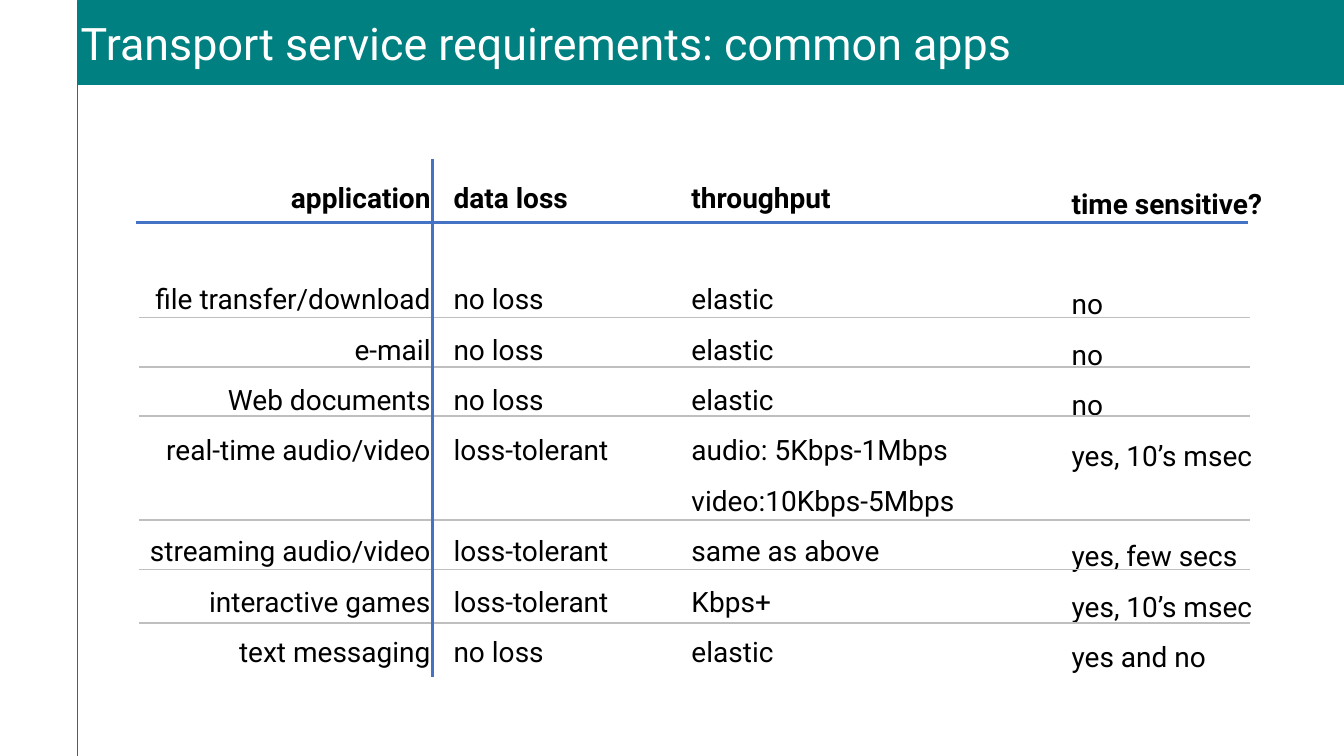
"""Build the slide on transport service requirements of common apps."""
from lxml import etree
from pptx import Presentation
from pptx.dml.color import RGBColor
from pptx.enum.shapes import MSO_CONNECTOR, MSO_SHAPE
from pptx.enum.text import MSO_ANCHOR, PP_ALIGN
from pptx.oxml.ns import qn
from pptx.util import Inches, Pt

LEFT, RIGHT = PP_ALIGN.LEFT, PP_ALIGN.RIGHT
MIDDLE = MSO_ANCHOR.MIDDLE
STRAIGHT = MSO_CONNECTOR.STRAIGHT
RECTANGLE = MSO_SHAPE.RECTANGLE

FONT = "Roboto"
COLORS = {
    "teal": "008080",
    "blue": "4472C4",
    "grey": "BFBFBF",
    "black": "000000",
    "white": "FFFFFF",
}
ROW_PITCH = 36

# A None entry leaves its row free.
COLUMNS = [
    {"left": 0, "top": 0, "width": 3.31, "align": RIGHT,
     "entries": ["application", None, "file transfer/download", "e-mail",
                 "Web documents", "real-time audio/video", None,
                 "streaming audio/video", "interactive games", "text messaging"]},
    {"left": 3.34, "top": 0, "width": 1.93, "align": LEFT,
     "entries": ["data loss", None, "no loss", "no loss", "no loss",
                 "loss-tolerant", None, "loss-tolerant", "loss-tolerant", "no loss"]},
    {"left": 5.7, "top": 0, "width": 3.31, "align": LEFT,
     "entries": ["throughput", None, "elastic", "elastic", "elastic",
                 "audio: 5Kbps-1Mbps", "video:10Kbps-5Mbps", "same as above",
                 "Kbps+", "elastic"]},
    {"left": 9.47, "top": 0.05, "width": 3.21, "align": LEFT,
     "entries": ["time sensitive?", None, "no", "no", "no", "yes, 10’s msec",
                 None, "yes, few secs", "yes, 10’s msec", "yes and no"]},
]
ROW_RULES = [1.57, 2.06, 2.55, 3.58, 4.07, 4.6]


def color(name):
    """Return the named palette colour."""
    return RGBColor.from_string(COLORS[name])


def write(para, text, size=20, ink="black", bold=False, align=LEFT, spacing=1.0, before=0):
    """Put formatted text into a paragraph."""
    para.alignment = align
    para.line_spacing = spacing
    para.space_before = Pt(before)
    span = para.add_run()
    span.text = text
    span.font.name = FONT
    span.font.size = Pt(size)
    span.font.bold = bold
    span.font.color.rgb = color(ink)


def draw_line(page, start, end, ink, weight):
    """Draw a straight line without shadow between two points."""
    line = page.shapes.add_connector(STRAIGHT, *(Inches(n) for n in (*start, *end)))
    line.line.color.rgb = color(ink)
    line.line.width = Pt(weight)
    properties = line._element.spPr
    etree.SubElement(properties, qn("a:effectLst"))


def add_title_bar(page, left, top, width, height, title):
    """Add the filled title bar."""
    bar = page.shapes.add_shape(
        RECTANGLE, Inches(left), Inches(top), Inches(width), Inches(height))
    bar.shadow.inherit = False
    bar.fill.solid()
    bar.fill.fore_color.rgb = color("teal")
    bar.line.color.rgb = color("teal")
    bar.line.width = Pt(1)
    frame = bar.text_frame
    frame.word_wrap = True
    frame.vertical_anchor = MIDDLE
    frame.margin_left = frame.margin_right = Inches(0.03)
    frame.margin_top = frame.margin_bottom = Inches(0.03)
    write(frame.paragraphs[0], title, size=32, ink="white")


def add_column(page, left, top, width, height, entries, align):
    """Add one column with a bold heading and evenly pitched rows."""
    box = page.shapes.add_textbox(
        Inches(left), Inches(top), Inches(width), Inches(height))
    frame = box.text_frame
    frame.word_wrap = True
    before = 0
    for index, entry in enumerate(entries):
        if entry is None:
            before += ROW_PITCH
            continue
        para = frame.add_paragraph() if index else frame.paragraphs[0]
        write(para, entry, bold=index == 0, align=align, spacing=1.5, before=before)
        before = 0


def add_requirements(page, left, top, height):
    """Add the columns of requirements and the rules between rows."""
    for column in COLUMNS:
        add_column(page, left + column["left"], top + column["top"], column["width"],
                   height, column["entries"], column["align"])
    draw_line(page, (left + 0.29, top + 0.63), (left + 11.32, top + 0.63), "blue", 2.5)
    for offset in ROW_RULES:
        y = top + offset
        draw_line(page, (left + 0.32, y), (left + 11.34, y), "grey", 1.25)
    draw_line(page, (left + 3.23, top), (left + 3.23, top + 5.14), "blue", 2.25)


def main():
    """Build and save the deck."""
    deck = Presentation()
    deck.slide_width, deck.slide_height = Inches(13.33), Inches(7.5)
    page = deck.slides.add_slide(deck.slide_layouts[6])
    add_requirements(page, 1.06, 1.58, 5.1)
    add_title_bar(page, 0.77, 0.01, 12.56, 0.83,
                  "Transport service requirements: common apps")
    draw_line(page, (0.77, 0.73), (0.77, 7.5), "teal", 0.75)
    deck.save("out.pptx")


if __name__ == "__main__":
    main()
